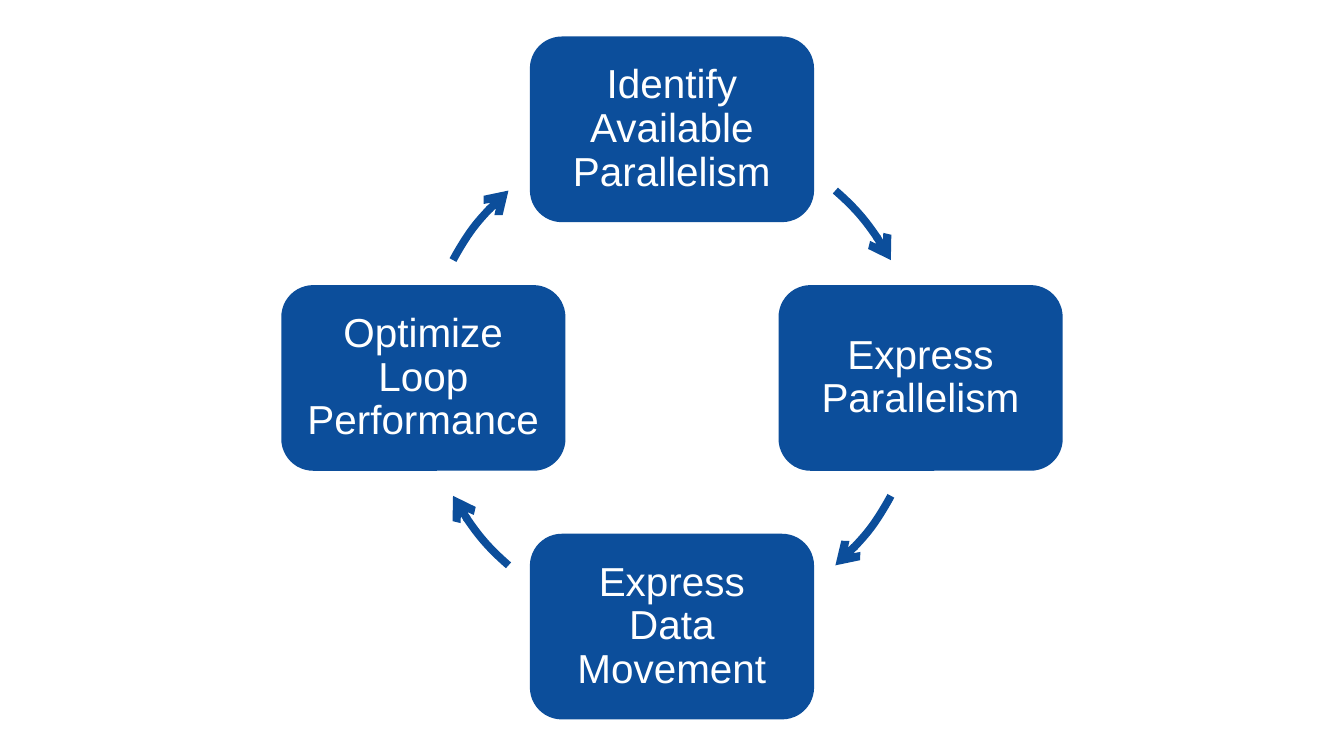
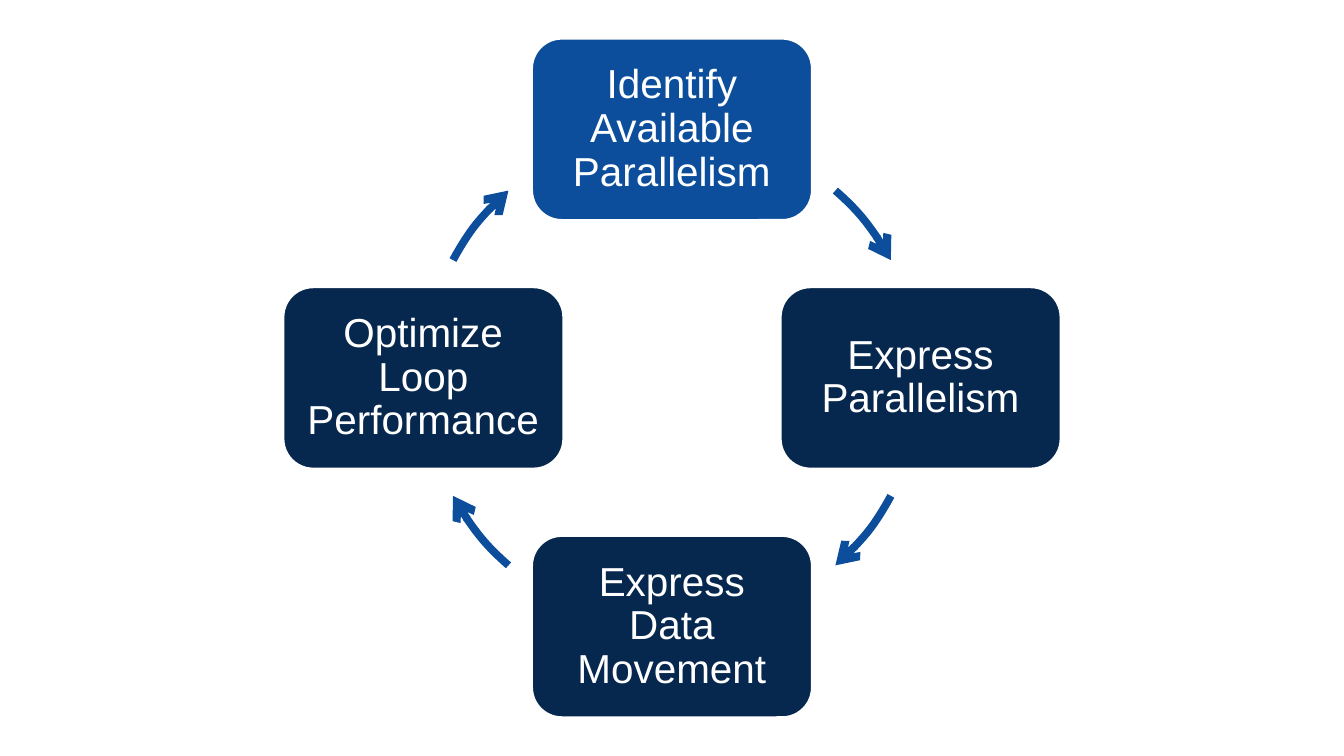
import math
from dataclasses import dataclass

from lxml import etree
from pptx import Presentation
from pptx import util as u
from pptx.dml.color import RGBColor
from pptx.enum import shapes, text
from pptx.oxml.ns import qn

# Content: the cycle's steps clockwise from the top
STEPS = [
    "Identify Available Parallelism",
    "Express Parallelism",
    "Express Data Movement",
    "Optimize Loop Performance",
]


@dataclass(frozen=True)
class Theme:
    blue: str = "0C4E9B"
    navy: str = "06274E"
    white: str = "FFFFFF"
    font: str = "Arial"
    step_size: float = 26
    border: float = 2
    arrow: float = 5


THEME = Theme()

# One entry per slide: border colour and fill of each step
VIEWS = [
    {"border": THEME.blue, "fills": [THEME.blue] * 4},
    {"border": THEME.white, "fills": [THEME.blue] + [THEME.navy] * 3},
]

# Geometry in inches; angles in degrees, clockwise from the right
SLIDE_W, SLIDE_H = 12, 6.75
CENTRE_X, CENTRE_Y = SLIDE_W / 2, SLIDE_H / 2
RADIUS = 2.22
STEP_W, STEP_H = 2.51, 1.63
INSET = 0.11
TOP_CLEARANCE, SIDE_CLEARANCE = 41.1, 28.3


def rgb(colour):
    return RGBColor.from_string(colour)


def add_centred(slide, kind, x, y, width, height):
    shape = slide.shapes.add_shape(
        kind, u.Inches(x - width / 2), u.Inches(y - height / 2),
        u.Inches(width), u.Inches(height))
    shape.shadow.inherit = False
    return shape


def set_line(shape, colour, width):
    shape.line.color.rgb = rgb(colour)
    shape.line.width = u.Pt(width)


def write(shape, words, *, size, colour, font=THEME.font, spacing=0.9):
    frame = shape.text_frame
    frame.word_wrap = True
    frame.vertical_anchor = text.MSO_ANCHOR.MIDDLE
    frame.margin_left = frame.margin_right = u.Inches(INSET)
    frame.margin_top = frame.margin_bottom = u.Inches(INSET)
    paragraph = frame.paragraphs[0]
    paragraph.text = words
    paragraph.alignment = text.PP_ALIGN.CENTER
    paragraph.line_spacing = spacing
    paragraph.font.name = font
    paragraph.font.size = u.Pt(size)
    paragraph.font.color.rgb = rgb(colour)


def add_step(slide, words, angle, fill, border):
    x = CENTRE_X + RADIUS * math.cos(math.radians(angle))
    y = CENTRE_Y + RADIUS * math.sin(math.radians(angle))
    step = add_centred(slide, shapes.MSO_SHAPE.ROUNDED_RECTANGLE,
                       x, y, STEP_W, STEP_H)
    step.fill.solid()
    step.fill.fore_color.rgb = rgb(fill)
    set_line(step, border, THEME.border)
    write(step, words, size=THEME.step_size, colour=THEME.white)


def add_arrow(slide, start, end):
    arrow = add_centred(slide, shapes.MSO_SHAPE.ARC,
                        CENTRE_X, CENTRE_Y, 2 * RADIUS, 2 * RADIUS)
    # Arc angles are 60000ths of a degree; adjustments are 100000ths
    for index, angle in enumerate((start, end)):
        arrow.adjustments[index] = angle % 360 * 0.6
    arrow.fill.background()
    set_line(arrow, THEME.blue, THEME.arrow)
    etree.SubElement(arrow.line._get_or_add_ln(), qn("a:tailEnd"), type="arrow")


def add_cycle(slide, border, fills):
    turn = 360 / len(STEPS)
    for index, (words, fill) in enumerate(zip(STEPS, fills)):
        angle = index * turn - 90
        add_step(slide, words, angle, fill, border)
        # Top and bottom steps are wide, so arrows stay further from them
        leave, arrive = TOP_CLEARANCE, SIDE_CLEARANCE
        if index % 2:
            leave, arrive = arrive, leave
        add_arrow(slide, angle + leave, angle + turn - arrive)


def main():
    deck = Presentation()
    deck.slide_width, deck.slide_height = u.Inches(SLIDE_W), u.Inches(SLIDE_H)
    for view in VIEWS:
        add_cycle(deck.slides.add_slide(deck.slide_layouts[6]), **view)
    deck.save("out.pptx")


if __name__ == "__main__":
    main()
